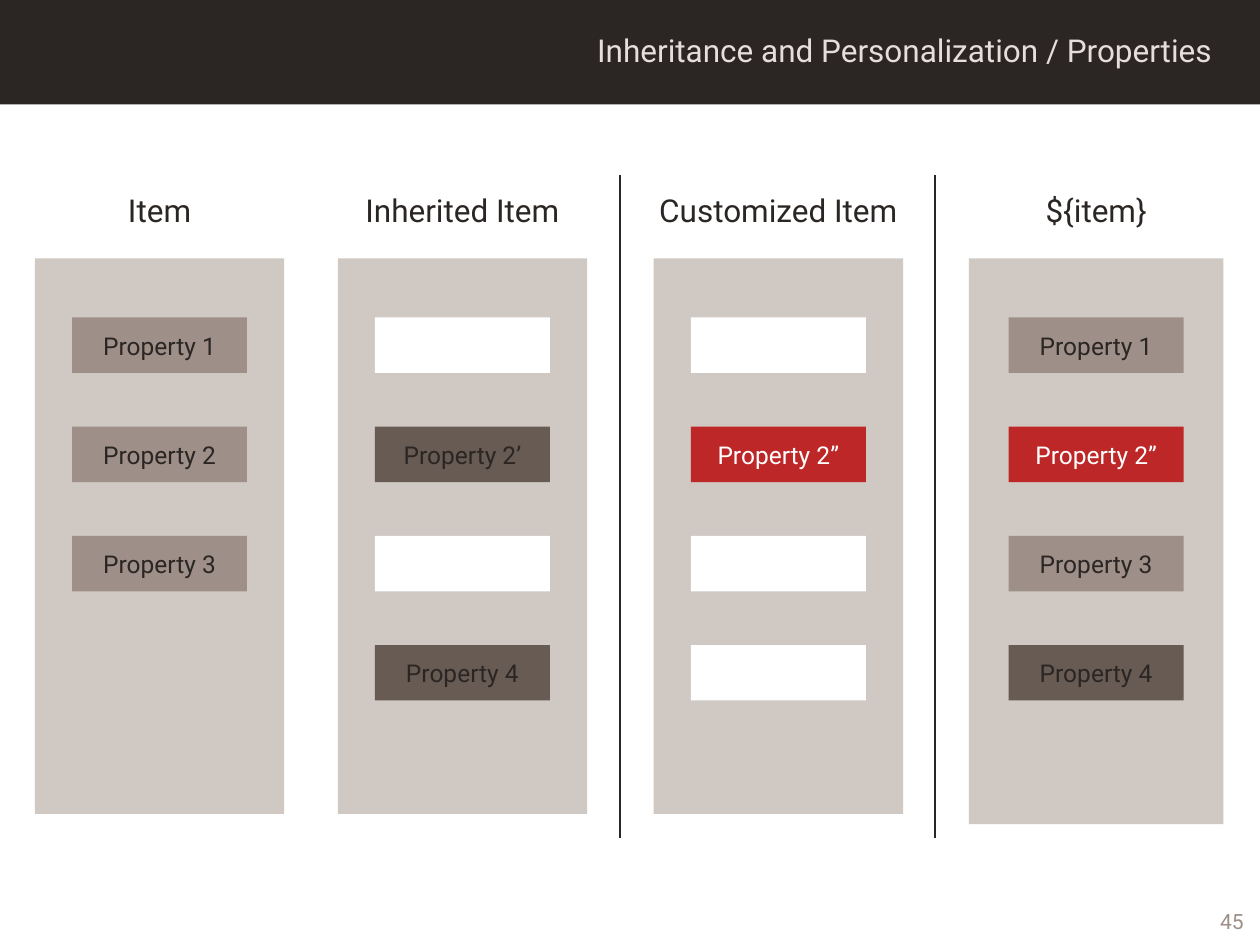
"""Build a slide comparing item properties across inheritance and personalization."""

from dataclasses import dataclass
from typing import Optional

from lxml import etree
from pptx import Presentation
from pptx.dml.color import RGBColor
from pptx.enum.shapes import MSO_CONNECTOR, MSO_SHAPE
from pptx.enum.text import MSO_ANCHOR, PP_ALIGN
from pptx.oxml.ns import qn
from pptx.shapes.autoshape import Shape
from pptx.slide import Slide
from pptx.util import Pt

RECTANGLE = MSO_SHAPE.RECTANGLE
STRAIGHT = MSO_CONNECTOR.STRAIGHT
MIDDLE, TOP = MSO_ANCHOR.MIDDLE, MSO_ANCHOR.TOP
CENTER, RIGHT = PP_ALIGN.CENTER, PP_ALIGN.RIGHT


@dataclass(frozen=True)
class Theme:
    font: str = "Roboto"
    dark: str = "2B2623"
    title: str = "E5DEDC"
    panel: str = "CFC8C3"
    base: str = "9E9088"
    inherited: str = "675B53"
    customized: str = "BD2727"
    white: str = "FFFFFF"
    heading_size: float = 18
    property_size: float = 14
    number_size: float = 12
    line_width: float = 0.75


@dataclass(frozen=True)
class Box:
    left: float
    top: float
    width: float
    height: float


@dataclass(frozen=True)
class Property:
    text: str
    fill: str
    color: str


@dataclass(frozen=True)
class Column:
    heading: str
    heading_width: float
    panel: Box
    properties: tuple[Optional[Property], ...]


THEME = Theme()
PANEL_TOP, PANEL_WIDTH, PANEL_HEIGHT = 147.6, 142.56, 317.5
HEADING_TOP, HEADING_HEIGHT = 105.84, 28.8
PROPERTY_TOP, PROPERTY_STEP = 181.44, 62.4
PROPERTY_WIDTH, PROPERTY_HEIGHT = 100, 31.7
DIVIDER_TOP, DIVIDER_BOTTOM = 100, 478.8
DIVIDERS = (354.24, 534.24)

EMPTY = Property("", THEME.white, THEME.dark)
FIRST = Property("Property 1", THEME.base, THEME.dark)
SECOND = Property("Property 2", THEME.base, THEME.dark)
SECOND_INHERITED = Property("Property 2’", THEME.inherited, THEME.dark)
SECOND_CUSTOMIZED = Property("Property 2”", THEME.customized, THEME.white)
THIRD = Property("Property 3", THEME.base, THEME.dark)
FOURTH = Property("Property 4", THEME.inherited, THEME.dark)

COLUMNS = (
    Column("Item", 72.7, Box(19.9, PANEL_TOP, PANEL_WIDTH, PANEL_HEIGHT),
           (FIRST, SECOND, THIRD)),
    Column("Inherited Item", 136, Box(193, PANEL_TOP, PANEL_WIDTH, PANEL_HEIGHT),
           (EMPTY, SECOND_INHERITED, EMPTY, FOURTH)),
    Column("Customized Item", 156.2, Box(373.5, PANEL_TOP, PANEL_WIDTH, PANEL_HEIGHT),
           (EMPTY, SECOND_CUSTOMIZED, EMPTY, EMPTY)),
    Column("${item}", 80.6, Box(553.7, PANEL_TOP, 145.4, 323.3),
           (FIRST, SECOND_CUSTOMIZED, THIRD, FOURTH)),
)


def write_text(shape: Shape, text: str, size: float, color: str,
               alignment: PP_ALIGN, anchor: MSO_ANCHOR) -> None:
    """Fill a shape with one formatted paragraph."""
    text_frame = shape.text_frame
    text_frame.text = text
    text_frame.word_wrap = True
    text_frame.vertical_anchor = anchor
    paragraph = text_frame.paragraphs[0]
    paragraph.alignment = alignment
    for run in paragraph.runs:
        run.font.name = THEME.font
        run.font.size = Pt(size)
        run.font.color.rgb = RGBColor.from_string(color)


def add_rectangle(slide: Slide, box: Box, fill: str) -> Shape:
    """Add a borderless filled rectangle."""
    shape = slide.shapes.add_shape(
        RECTANGLE, Pt(box.left), Pt(box.top), Pt(box.width), Pt(box.height))
    shape.shadow.inherit = False
    shape.fill.solid()
    shape.fill.fore_color.rgb = RGBColor.from_string(fill)
    shape.line.fill.background()
    return shape


def add_label(slide: Slide, box: Box, text: str, size: float, color: str,
              alignment: PP_ALIGN, anchor: MSO_ANCHOR = TOP) -> None:
    """Add a text box with one formatted paragraph."""
    shape = slide.shapes.add_textbox(
        Pt(box.left), Pt(box.top), Pt(box.width), Pt(box.height))
    write_text(shape, text, size, color, alignment, anchor)


def add_divider(slide: Slide, left: float) -> None:
    """Add a vertical line between two columns."""
    connector = slide.shapes.add_connector(
        STRAIGHT, Pt(left), Pt(DIVIDER_TOP), Pt(left), Pt(DIVIDER_BOTTOM))
    connector.line.color.rgb = RGBColor.from_string(THEME.dark)
    connector.line.width = Pt(THEME.line_width)
    etree.SubElement(connector._element.spPr, qn("a:effectLst"))


def add_column(slide: Slide, column: Column) -> None:
    """Add a heading, its panel and the property boxes."""
    center = column.panel.left + column.panel.width / 2
    add_rectangle(slide, column.panel, THEME.panel)
    heading_box = Box(center - column.heading_width / 2, HEADING_TOP,
                      column.heading_width, HEADING_HEIGHT)
    add_label(slide, heading_box, column.heading, THEME.heading_size, THEME.dark, CENTER)
    for row, item in enumerate(column.properties):
        box = Box(center - PROPERTY_WIDTH / 2, PROPERTY_TOP + row * PROPERTY_STEP,
                  PROPERTY_WIDTH, PROPERTY_HEIGHT)
        shape = add_rectangle(slide, box, item.fill)
        if item.text:
            write_text(shape, item.text, THEME.property_size, item.color, CENTER, MIDDLE)


def main() -> None:
    """Build and save the presentation."""
    presentation = Presentation()
    presentation.slide_width, presentation.slide_height = Pt(720), Pt(540)
    slide = presentation.slides.add_slide(presentation.slide_layouts[6])
    add_rectangle(slide, Box(0, 0, 720, 59.76), THEME.dark)
    add_label(slide, Box(206.6, 14.4, 493.2, 28.8),
              "Inheritance and Personalization / Properties",
              THEME.heading_size, THEME.title, RIGHT)
    add_label(slide, Box(586, 516.2, 131.8, 20.2), "45",
              THEME.number_size, THEME.base, RIGHT, MIDDLE)
    for left in DIVIDERS:
        add_divider(slide, left)
    for column in COLUMNS:
        add_column(slide, column)
    presentation.save("out.pptx")


if __name__ == "__main__":
    main()
